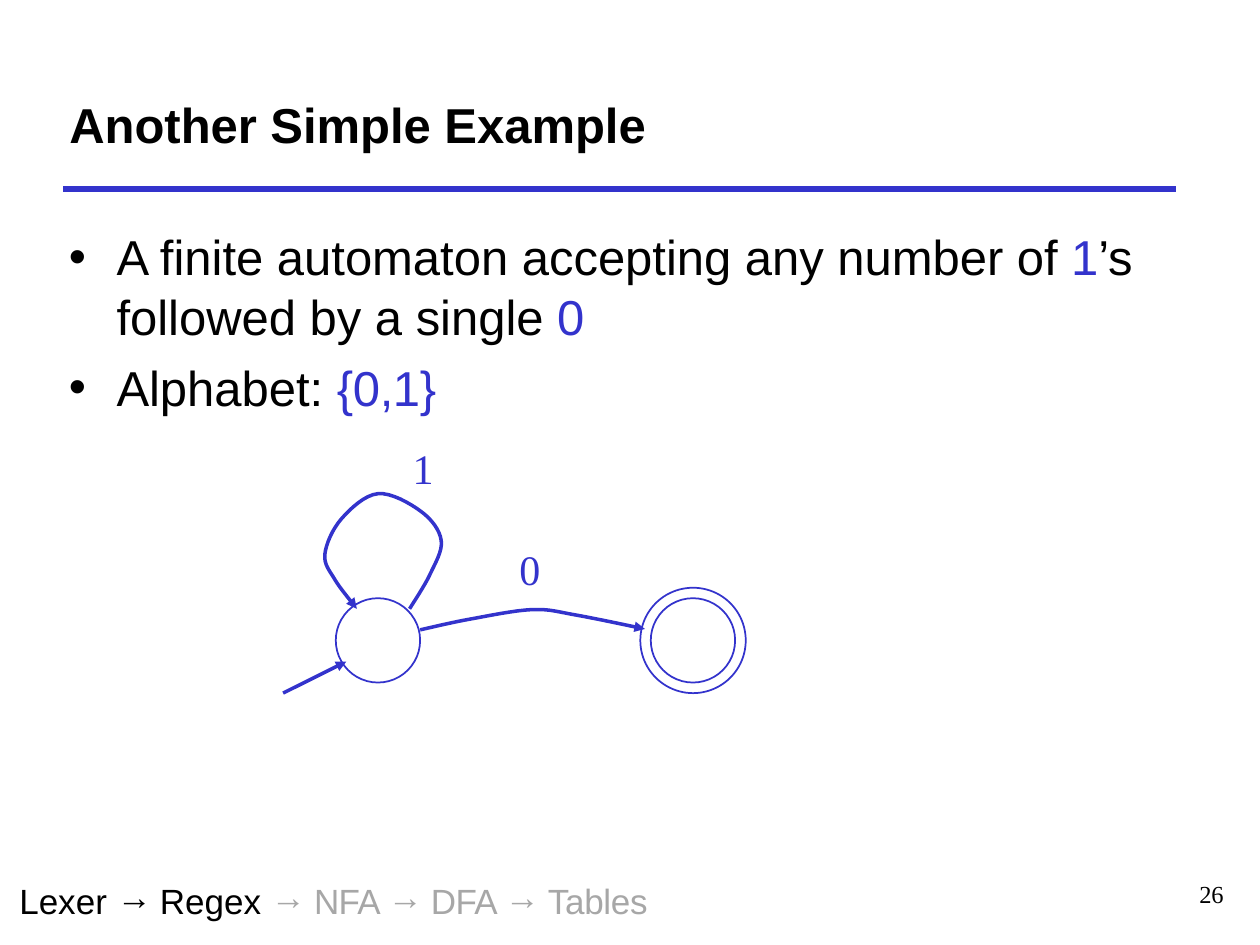
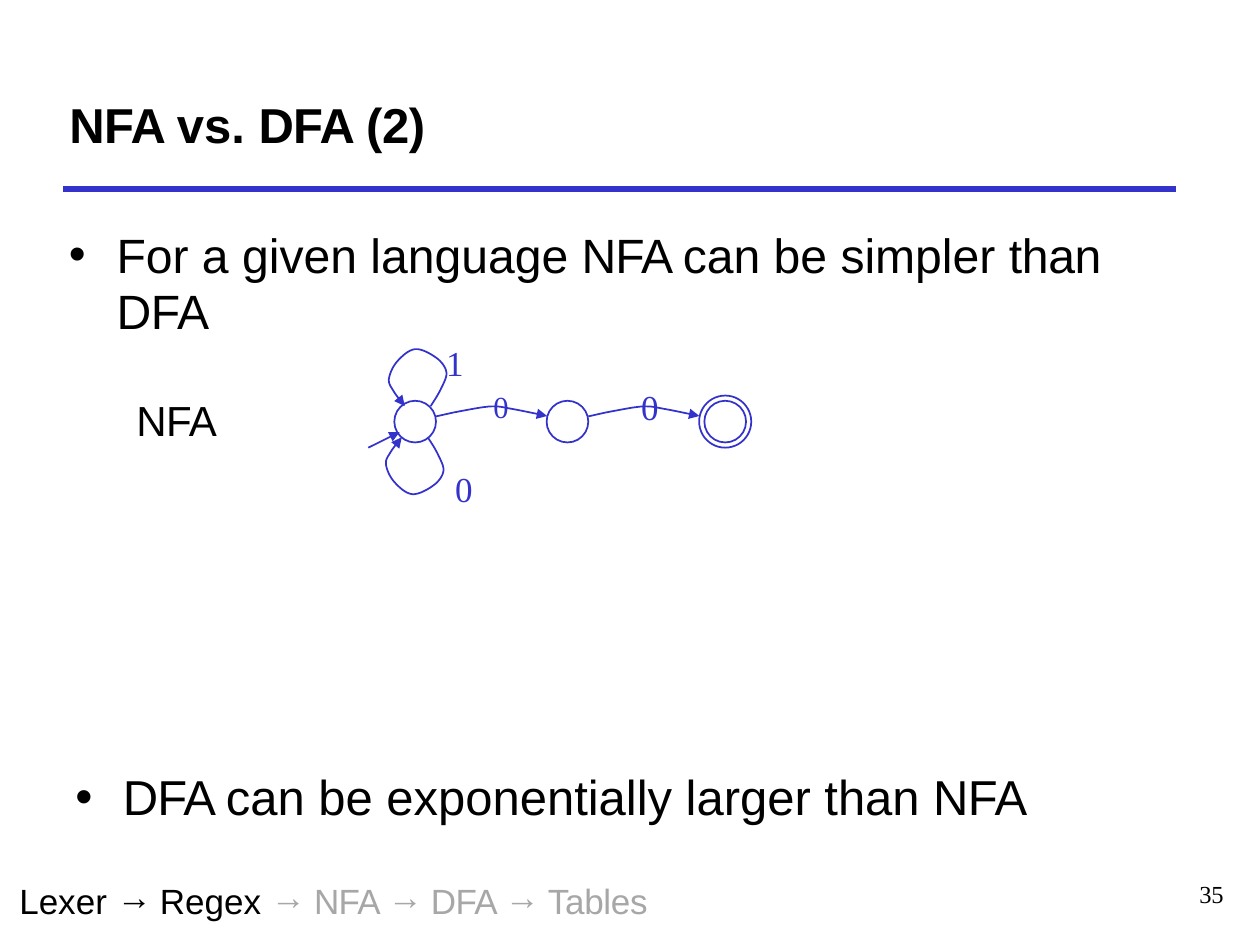
from lxml import etree
from pptx import Presentation
from pptx.dml.color import RGBColor
from pptx.enum.shapes import MSO_CONNECTOR, MSO_SHAPE
from pptx.enum.text import MSO_ANCHOR, PP_ALIGN
from pptx.oxml.ns import qn
from pptx.util import Cm, Pt

OVAL = MSO_SHAPE.OVAL
STRAIGHT = MSO_CONNECTOR.STRAIGHT
MIDDLE = MSO_ANCHOR.MIDDLE
CENTER = PP_ALIGN.CENTER

COLORS = {"ink": "000000", "accent": "3333CC", "muted": "A7A7A7"}
SANS, NARROW, SERIF = "Arial", "Arial Narrow", "Times New Roman"

# Automaton geometry is measured in state radii from the centre of a state.
LOOP = [(0.75, -0.75), (1.23, -1.56), (1.5, -2.37), (1.02, -3.06), (0, -3.48),
        (-0.87, -2.88), (-1.26, -2.04), (-1.02, -1.44), (-0.5, -0.75)]
EDGE = [(1, -0.25), (2.16, -0.5), (3.66, -0.73), (4.7, -0.6), (6.33, -0.27)]
ENTRY = [(-2.25, 1.25), (-0.75, 0.5)]
FINAL_RING = 1.25

FOOTER = [("Lexer ", "ink", 0, SANS), ("→ ", "ink", 0, NARROW),
          ("Regex ", "ink", 0, SANS), ("→ ", "muted", 0, NARROW),
          ("NFA ", "muted", -0.4, SANS), ("→ ", "muted", 0, NARROW),
          ("DFA ", "muted", -0.4, SANS), ("→ ", "muted", 0, NARROW),
          ("Tables", "muted", -0.2, SANS)]


def rgb(name):
    """Return the named colour."""
    return RGBColor.from_string(COLORS[name])


def add_bullet(para):
    """Give the paragraph a round bullet with a hanging indent."""
    props = para._p.get_or_add_pPr()
    props.set("marL", str(Cm(0.98)))
    props.set("indent", str(-Cm(0.96)))
    etree.SubElement(props, qn("a:buFont")).set("typeface", SANS)
    etree.SubElement(props, qn("a:buChar")).set("char", "•")


def add_text(page, box, paragraphs, size, font=SANS, bold=False, bullet=False,
             line=None, before=0, gap=0):
    """Write paragraphs of (text, colour, spacing[, font]) spans into a box in cm."""
    frame = page.shapes.add_textbox(*map(Cm, box)).text_frame
    frame.word_wrap = True
    frame.margin_left = frame.margin_right = frame.margin_top = frame.margin_bottom = 0
    for index, spans in enumerate(paragraphs):
        para = frame.add_paragraph() if index else frame.paragraphs[0]
        para.space_before = Pt(gap if index else before)
        if line:
            para.line_spacing = Pt(line)
        if bullet:
            add_bullet(para)
        for text, color, spacing, *face in spans:
            span = para.add_run()
            span.text = text
            span.font.size = Pt(size)
            span.font.name = face[0] if face else font
            span.font.bold = bold
            span.font.color.rgb = rgb(color)
            if spacing:
                span.font._element.set("spc", str(round(spacing * 100)))
    return frame


def add_symbol(page, center, text, size):
    """Centre an input symbol on a point in cm."""
    x, y = center
    frame = add_text(page, (x - 0.4, y - 0.5, 0.8, 1), [[(text, "accent", 0)]], size, SERIF)
    frame.vertical_anchor = MIDDLE
    frame.paragraphs[0].alignment = CENTER


def add_arrowhead(shape):
    """Put a triangle at the end of the shape's line."""
    outline = shape.element.spPr.find(qn("a:ln"))
    etree.SubElement(outline, qn("a:tailEnd")).set("type", "triangle")


def style_line(shape, width):
    """Colour a line in the accent colour."""
    shape.line.color.rgb = rgb("accent")
    shape.line.width = Pt(width)


def add_straight(page, start, end, width):
    """Draw a plain straight line between two points in cm."""
    line = page.shapes.add_connector(STRAIGHT, *map(Cm, start + end))
    style_line(line, width)
    etree.SubElement(line.element.spPr, qn("a:effectLst"))
    return line


def smooth(points, steps=8):
    """Return a dense Catmull-Rom curve through the points."""
    padded = [points[0], *points, points[-1]]
    curve = [points[0]]
    for a, b, c, d in zip(padded, padded[1:], padded[2:], padded[3:]):
        for step in range(1, steps + 1):
            t = step / steps
            curve.append(tuple(
                (2 * q + (r - p) * t + (2 * p - 5 * q + 4 * r - s) * t ** 2
                 + (3 * q - p - 3 * r + s) * t ** 3) / 2
                for p, q, r, s in zip(a, b, c, d)))
    return curve


def place(points, center, radius, flip=1):
    """Move points from state radii to cm around a state, optionally mirrored down."""
    return [(center[0] + x * radius, center[1] + flip * y * radius) for x, y in points]


def add_curve(page, points, width):
    """Draw a smooth arrow through points in cm."""
    first, *rest = [(Cm(x), Cm(y)) for x, y in smooth(points)]
    builder = page.shapes.build_freeform(*first, scale=1.0)
    builder.add_line_segments(rest, close=False)
    curve = builder.convert_to_shape()
    curve.shadow.inherit = False
    curve.fill.background()
    style_line(curve, width)
    add_arrowhead(curve)


def add_ring(page, center, radius):
    """Draw an empty circle for a state."""
    x, y = center
    ring = page.shapes.add_shape(OVAL, Cm(x - radius), Cm(y - radius),
                                 Cm(2 * radius), Cm(2 * radius))
    ring.shadow.inherit = False
    ring.fill.background()
    style_line(ring, 1)


def add_automaton(page, start, radius, offsets, width):
    """Draw a chain of states from the start centre, looping on the first one."""
    centers = [(start[0] + offset, start[1]) for offset in offsets]
    for center in centers:
        add_ring(page, center, radius)
    add_ring(page, centers[-1], radius * FINAL_RING)
    for center in centers[:-1]:
        add_curve(page, place(EDGE, center, radius), width)
    add_curve(page, place(LOOP, start, radius), width)
    add_arrowhead(add_straight(page, *place(ENTRY, start, radius), width))


def add_page(deck, title, number):
    """Add a page with its title, rule, progress footer and page number."""
    page = deck.slides.add_slide(deck.slide_layouts[6])
    add_straight(page, (1.27, 3.81), (23.7, 3.81), 3)
    add_text(page, (1.4, 1.9, 21, 1.25), [title], 28, bold=True, before=1)
    add_text(page, (0.39, 17.73, 13, 0.91), [FOOTER], 20)
    add_text(page, (24.18, 17.73, 0.7, 0.61), [[(number, "ink", -0.2)]], 14, SERIF,
             line=16.3)
    return page


def add_simple_example(deck):
    """Build the page with the two-state automaton."""
    page = add_page(deck, [("Another Simple Example", "ink", 0)], "26")
    bullets = [
        [("A finite automaton accepting any number of ", "ink", 0), ("1", "accent", -0.2),
         ("’s ", "ink", -0.2), ("followed by a single ", "ink", 0), ("0", "accent", -0.5)],
        [("Alphabet: ", "ink", 0), ("{0,1}", "accent", -0.2)],
    ]
    add_text(page, (1.37, 4.55, 21.6, 3.9), bullets, 28, bullet=True, line=34.3,
             before=0.6, gap=6)
    add_automaton(page, (7.62, 12.91), 0.85, [0, 6.35], 2)
    add_symbol(page, (8.53, 9.43), "1", 24)
    add_symbol(page, (10.68, 11.47), "0", 24)


def add_comparison(deck):
    """Build the page with the three-state NFA."""
    title = [("NFA ", "ink", -0.4), ("vs. ", "ink", 0), ("DFA ", "ink", -0.4),
             ("(2)", "ink", -0.2)]
    page = add_page(deck, title, "35")
    simpler = [("For a given language ", "ink", 0), ("NFA ", "ink", -0.6),
               ("can be simpler ", "ink", 0), ("than DFA", "ink", -0.2)]
    larger = [("DFA ", "ink", -0.6), ("can be exponentially larger than ", "ink", 0),
              ("NFA", "ink", -0.3)]
    add_text(page, (1.37, 4.57, 21.13, 2.3), [simpler], 27.5, bullet=True, line=32,
             before=3.1)
    add_text(page, (1.5, 15.46, 21, 1.2), [larger], 28, bullet=True)
    add_text(page, (2.75, 7.95, 2, 1.1), [[("NFA", "ink", -0.3)]], 24)
    start, radius = (8.37, 8.5), 0.42
    add_automaton(page, start, radius, [0, 3.07, 6.25], 1)
    add_curve(page, place(LOOP, (start[0] - 0.06, start[1]), radius, flip=-1), 1)
    add_symbol(page, (9.17, 7.3), "1", 20)
    add_symbol(page, (10.1, 8.2), "0", 17.5)
    add_symbol(page, (13.1, 8.2), "0", 20)
    add_symbol(page, (9.35, 9.84), "0", 20)


def main():
    """Build and save the deck."""
    deck = Presentation()
    deck.slide_width, deck.slide_height = Cm(25.4), Cm(19.05)
    add_simple_example(deck)
    add_comparison(deck)
    deck.save("out.pptx")


if __name__ == "__main__":
    main()
